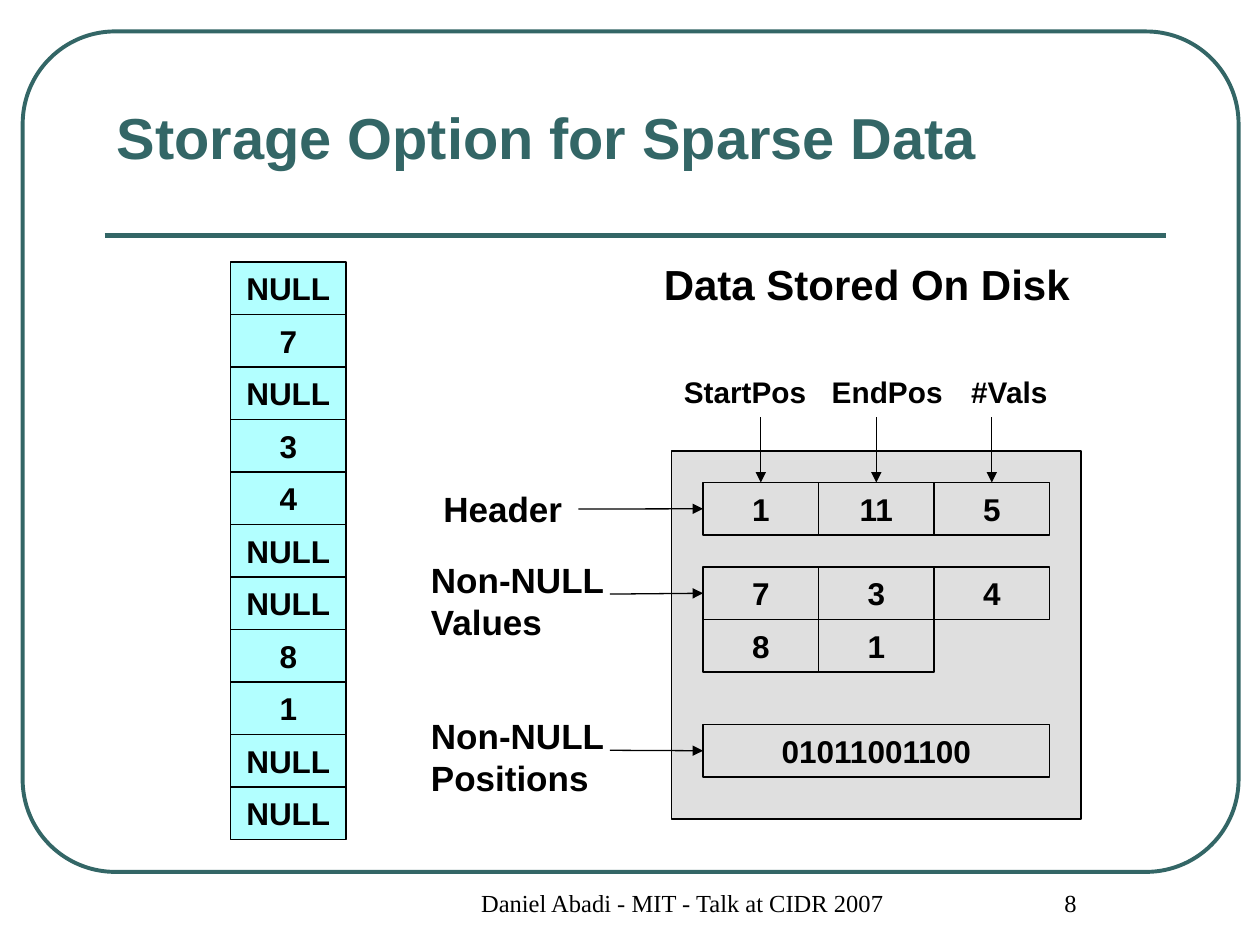
from lxml import etree
from pptx import Presentation
from pptx.dml.color import RGBColor
from pptx.enum.shapes import MSO_CONNECTOR, MSO_SHAPE
from pptx.enum.text import MSO_ANCHOR, PP_ALIGN
from pptx.oxml.ns import qn
from pptx.util import Inches, Pt

RECT, ROUNDED = MSO_SHAPE.RECTANGLE, MSO_SHAPE.ROUNDED_RECTANGLE
STRAIGHT = MSO_CONNECTOR.STRAIGHT
LEFT, CENTER, RIGHT = PP_ALIGN.LEFT, PP_ALIGN.CENTER, PP_ALIGN.RIGHT
TOP, MIDDLE, BOTTOM = MSO_ANCHOR.TOP, MSO_ANCHOR.MIDDLE, MSO_ANCHOR.BOTTOM
SIDE_TOP, SIDE_LEFT, SIDE_BOTTOM, SIDE_RIGHT = range(4)

COLORS = {"teal": "336666", "ink": "000000", "cyan": "00FFFF", "gray": "C0C0C0"}
CELL_W, CELL_H = 11 / 12, 5 / 12


def color(name):
    return RGBColor.from_string(COLORS[name])


def write(shape, text, size=18, font="Arial", bold=True, ink="ink", align=LEFT,
          anchor=TOP, wrap=True, insets=(0.1, 0.05, 0.1, 0.05)):
    frame = shape.text_frame
    frame.word_wrap = wrap
    frame.vertical_anchor = anchor
    (frame.margin_left, frame.margin_top,
     frame.margin_right, frame.margin_bottom) = map(Inches, insets)
    paragraph = frame.paragraphs[0]
    paragraph.alignment = align
    run = paragraph.add_run()
    run.text = text
    run.font.size = Pt(size)
    run.font.name = font
    run.font.bold = bold
    run.font.color.rgb = color(ink)


def add_label(slide, box, text, **text_format):
    label = slide.shapes.add_textbox(*map(Inches, box))
    write(label, text, **text_format)
    return label


def add_block(slide, box, kind=RECT, fill=None, opacity=100, line="ink", weight=0.75):
    block = slide.shapes.add_shape(kind, *map(Inches, box))
    block.shadow.inherit = False
    block.line.color.rgb = color(line)
    block.line.width = Pt(weight)
    if fill:
        block.fill.solid()
        block.fill.fore_color.rgb = color(fill)
        tint = block.fill._xPr.find(qn("a:solidFill"))[0]
        etree.SubElement(tint, qn("a:alpha")).set("val", str(opacity * 1000))
    else:
        block.fill.background()
    return block


def add_cell(slide, left, top, text, width=CELL_W, **block_format):
    cell = add_block(slide, (left, top, width, CELL_H), **block_format)
    write(cell, text, align=CENTER, anchor=MIDDLE, wrap=False)
    return cell


def add_row(slide, left, top, values):
    return [add_cell(slide, left + i * CELL_W, top, value)
            for i, value in enumerate(values)]


def add_line(slide, start, end, line="ink", weight=0.75):
    rule = slide.shapes.add_connector(STRAIGHT, *map(Inches, start + end))
    rule.line.color.rgb = color(line)
    rule.line.width = Pt(weight)
    etree.SubElement(rule._element.spPr, qn("a:effectLst"))
    return rule


def add_arrow(slide, label, label_side, cell, cell_side):
    arrow = add_line(slide, (0, 0), (0, 0))
    arrow.begin_connect(label, label_side)
    arrow.end_connect(cell, cell_side)
    etree.SubElement(arrow.line._get_or_add_ln(), qn("a:tailEnd")).set("type", "triangle")


def draw_frame(slide, left, top, width, height):
    border = add_block(slide, (left, top, width, height), ROUNDED, line="teal", weight=2.25)
    border.adjustments[0] = 0.11
    rule_y = top + 1.62
    add_line(slide, (left + 0.65, rule_y), (left + width - 0.58, rule_y), "teal", 3)
    add_label(slide, (left + 0.65, top + 0.08, 7.33, 1.08),
              "Storage Option for Sparse Data", size=33, ink="teal", anchor=BOTTOM)


def draw_column(slide, left, top):
    values = ["NULL", "7", "NULL", "3", "4", "NULL", "NULL", "8", "1", "NULL", "NULL"]
    for i, value in enumerate(values):
        add_cell(slide, left, top + i * CELL_H, value, fill="cyan", opacity=30)


def draw_disk(slide, left, top, width, height):
    add_label(slide, (left - 0.16, top - 1.58, 3.67, 0.5), "Data Stored On Disk", size=24)
    add_block(slide, (left, top, width, height), fill="gray", opacity=50)

    inner = left + 0.25
    values_top = top + 0.92
    header = add_row(slide, inner, top + 0.25, ["1", "11", "5"])
    values = add_row(slide, inner, values_top, ["7", "3", "4"])
    add_row(slide, inner, values_top + CELL_H, ["8", "1"])
    positions = add_cell(slide, inner, top + 2.17, "01011001100", width=3 * CELL_W)

    fields = [("StartPos", 1.42, LEFT), ("EndPos", 1.25, RIGHT), ("#Vals", 1.08, RIGHT)]
    for (name, field_w, align), cell, offset in zip(fields, header, (0, 1, 2)):
        center = inner + (offset + 0.5) * CELL_W
        field = add_label(slide, (center - field_w / 2, top - 0.66, field_w, 0.39),
                          name, size=17, align=align)
        add_arrow(slide, field, SIDE_BOTTOM, cell, SIDE_TOP)

    flush = (0, 0.1, 0, 0)
    sections = [
        ("Header", 0.24, 1.17, 0.44, header[0], (0.1, 0.05, 0.1, 0.05)),
        ("Non-NULL Values", 0.75, 1.42, 0.77, values[0], flush),
        ("Non-NULL Positions", 1.99, 1.42, 0.77, positions, flush),
    ]
    for name, offset, label_w, label_h, cell, insets in sections:
        section = add_label(slide, (left - 1.91, top + offset, label_w, label_h),
                            name, size=20, insets=insets)
        add_arrow(slide, section, SIDE_RIGHT, cell, SIDE_LEFT)


def draw_footer(slide, left, top, height):
    footer = {"size": 14, "font": "Times New Roman", "bold": False,
              "align": CENTER, "insets": (0.34, 0.05, 0.1, 0.05)}
    add_label(slide, (left, top, 4.25, height),
              "Daniel Abadi - MIT - Talk at CIDR 2007", **footer)
    add_label(slide, (left + 4.33, top, 1.75, height), "8", **footer)


def main():
    deck = Presentation()
    deck.slide_width, deck.slide_height = Inches(10), Inches(7.5)
    slide = deck.slides.add_slide(deck.slide_layouts[6])
    draw_frame(slide, 0.18, 0.25, 9.65, 6.67)
    draw_column(slide, 1.83, 2.08)
    draw_disk(slide, 5.33, 3.58, 3.25, 2.92)
    draw_footer(slide, 3.17, 7, 0.5)
    deck.save("out.pptx")


if __name__ == "__main__":
    main()
